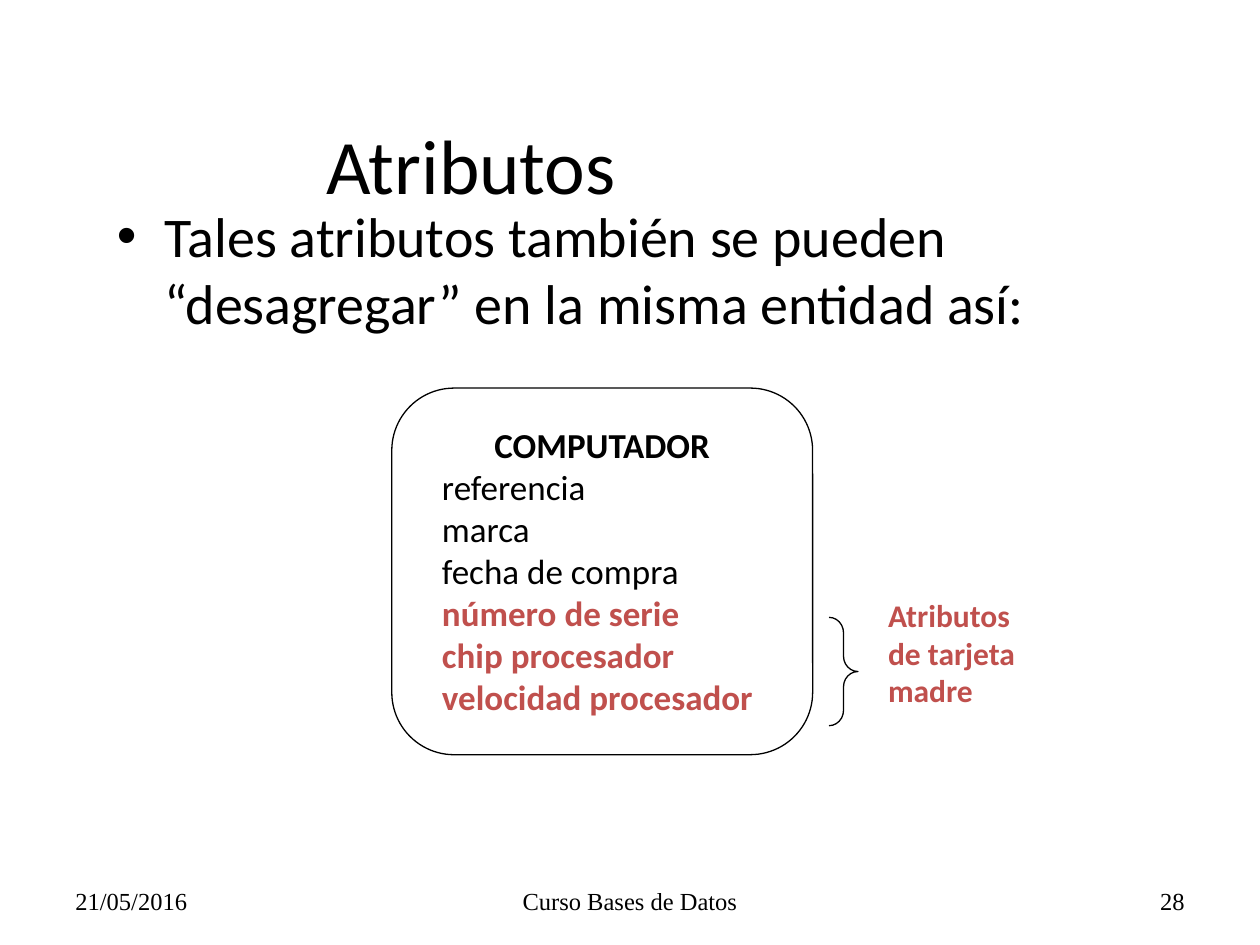
from pptx import Presentation, util as u
from pptx.dml.color import RGBColor
from pptx.enum import shapes, text
from pptx.oxml.ns import qn
from lxml import etree

BLACK = RGBColor(0, 0, 0)
RED = RGBColor(0xC0, 0x50, 0x4D)
SANS, SERIF = "Calibri", "Times New Roman"
LEFT, MID, RIGHT = text.PP_ALIGN.LEFT, text.PP_ALIGN.CENTER, text.PP_ALIGN.RIGHT
WIDE, HIGH = 10, 7.5
EDGE = 0.5

TITLE = "Atributos"
POINT = "Tales atributos también se pueden “desagregar” en la misma entidad así:"
NAME = "COMPUTADOR"
PLAIN = ["referencia", "marca", "fecha de compra"]
BOARD = ["número de serie", "chip procesador", "velocidad procesador"]
NOTE = ["Atributos", "de tarjeta", "madre"]
FOOT = [("21/05/2016", 2.33, LEFT), ("Curso Bases de Datos", 3.17, MID), ("28", 2.33, RIGHT)]
CARD = (3.11, 3.08, 3.34, 2.91)
BRACE = (6.58, 4.9, 0.23, 0.86)

deck = Presentation()
deck.slide_width, deck.slide_height = u.Inches(WIDE), u.Inches(HIGH)
slide = deck.slides.add_slide(deck.slide_layouts[6])


def inch(at):
    return [u.Inches(n) for n in at]


def write(at, lines, size, face=SANS, mid=False):
    frame = slide.shapes.add_textbox(*inch(at)).text_frame
    frame.word_wrap = True
    if mid:
        frame.vertical_anchor = text.MSO_ANCHOR.MIDDLE
    for i, (words, side, color, bold) in enumerate(lines):
        para = frame.add_paragraph() if i else frame.paragraphs[0]
        para.alignment = side
        run = para.add_run()
        run.text = words
        font = run.font
        font.name, font.size, font.bold = face, u.Pt(size), bold
        font.color.rgb = color
    return frame


def draw(kind, at, adjust):
    shape = slide.shapes.add_shape(kind, *inch(at))
    shape.shadow.inherit = False
    shape.fill.background()
    shape.line.color.rgb = BLACK
    shape.line.width = u.Pt(0.75)
    for i, value in enumerate(adjust):
        shape.adjustments[i] = value


gap = (WIDE - 2 * EDGE - sum(f[1] for f in FOOT)) / 2
left = EDGE
for words, width, side in FOOT:
    write((left, 6.95, width, 0.4), [(words, side, BLACK, False)], 14, SERIF, True)
    left += width + gap

body = write((0.83, 1.55, 8.5, 1.42), [(POINT, LEFT, BLACK, False)], 32)
para = body.paragraphs[0]
para.space_before = u.Pt(6.4)
props = para._p.get_or_add_pPr()
props.set("marL", str(u.Inches(0.38)))
props.set("indent", str(-u.Inches(0.38)))
etree.SubElement(props, qn("a:buFont")).set("typeface", "Arial")
etree.SubElement(props, qn("a:buChar")).set("char", "•")

draw(shapes.MSO_SHAPE.ROUNDED_RECTANGLE, CARD, [0.17])
rows = [(NAME, MID, BLACK, True)]
rows += [(w, LEFT, BLACK, False) for w in PLAIN]
rows += [(w, LEFT, RED, True) for w in BOARD]
write((3.41, 3.31, 2.74, 2.46), rows, 20)

write((-0.51, 0.67, 8.5, 1.25), [(TITLE, MID, BLACK, False)], 44, mid=True)

draw(shapes.MSO_SHAPE.RIGHT_BRACE, BRACE, [0.53, 0.5])
write((6.95, 4.68, 1.68, 1.31), [(w, LEFT, RED, True) for w in NOTE], 18)

deck.save("out.pptx")
